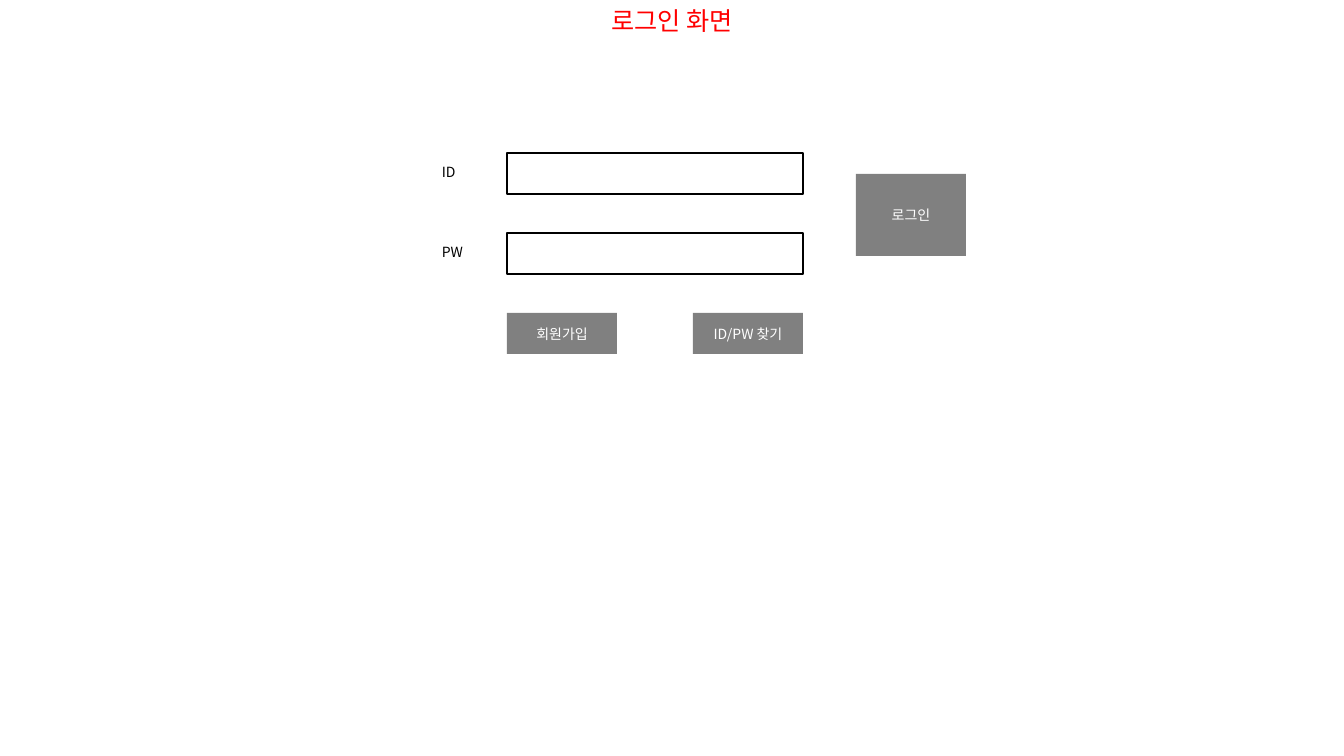
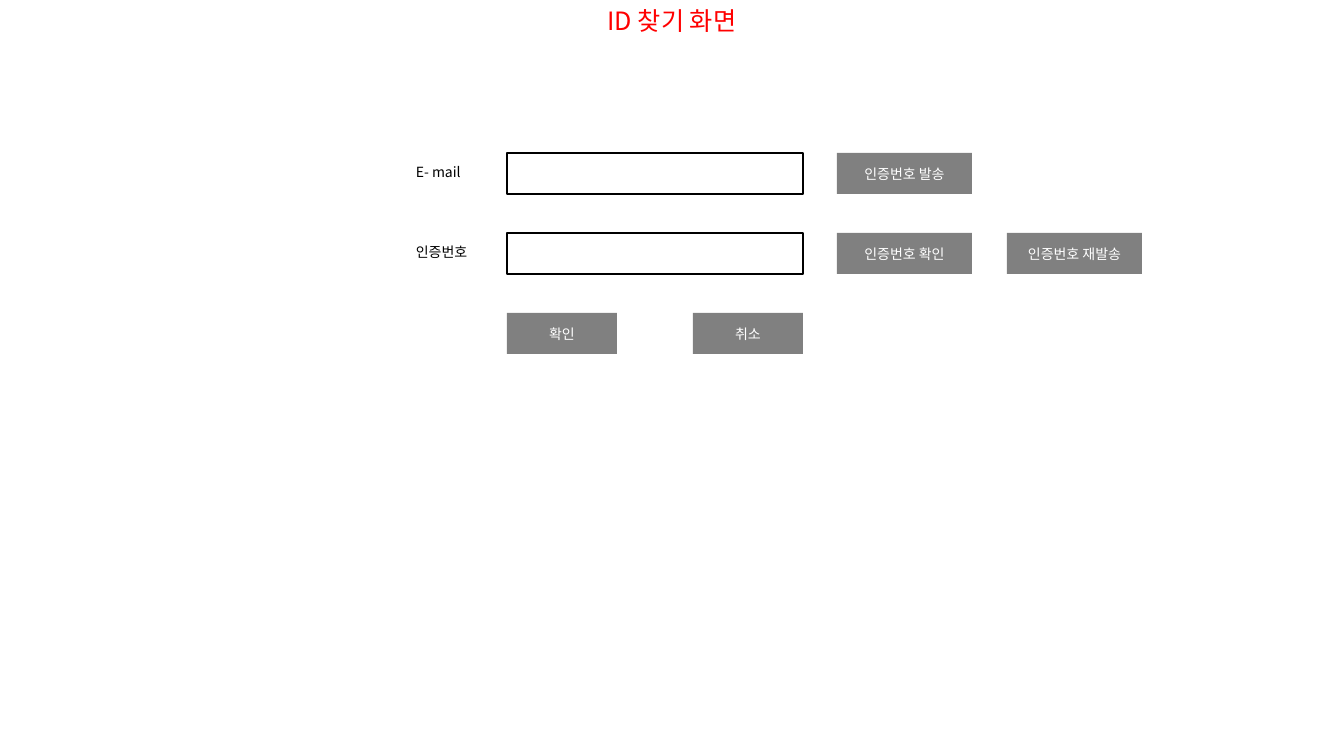
from pptx import Presentation
from pptx.dml.color import RGBColor
from pptx.enum.shapes import MSO_SHAPE
from pptx.enum.text import MSO_ANCHOR, MSO_AUTO_SIZE, PP_ALIGN
from pptx.oxml.ns import qn
from pptx.util import Pt
from lxml import etree

# Shared look
RED = RGBColor(0xFF, 0x00, 0x00)
GRAY = RGBColor(0x80, 0x80, 0x80)
BLACK = RGBColor(0x00, 0x00, 0x00)
WHITE = RGBColor(0xFF, 0xFF, 0xFF)
FONT = "Noto Sans CJK KR"
PX = 914400 / 100.8

# Form grid, in pixels
WIDE, TALL = 1344, 756
ROWS = [153 + 80 * i for i in range(3)]
HIGH = 41
LEFT, SPAN = 507, 296
SMALL, LARGE = 110, 135
RIGHT = LEFT + SPAN - SMALL
SIDE, FAR = 837, 1007


def place(*box):
    return [round(v * PX) for v in box]


def write(shape, text, size, color, align, anchor):
    frame = shape.text_frame
    frame.text = text
    frame.word_wrap = True
    frame.auto_size = MSO_AUTO_SIZE.NONE
    frame.vertical_anchor = anchor
    line = frame.paragraphs[0]
    line.alignment = align
    font = line.runs[0].font
    font.name, font.size, font.color.rgb = FONT, Pt(size), color
    # Korean glyphs take the East Asian typeface
    east = etree.Element(qn("a:ea"), typeface=FONT)
    line.runs[0].font._element.find(qn("a:latin")).addnext(east)


# Each screen: title, label left and width, labels, buttons
screens = [
    ("로그인 화면", 432, 57, ["ID", "PW"], [
        ("로그인", 856, 174, SMALL, 2 * HIGH),
        ("회원가입", LEFT, ROWS[2], SMALL, HIGH),
        ("ID/PW 찾기", RIGHT, ROWS[2], SMALL, HIGH),
    ]),
    ("ID 찾기 화면", 406, 85, ["E- mail", "인증번호"], [
        ("인증번호 발송", SIDE, ROWS[0], LARGE, HIGH),
        ("인증번호 확인", SIDE, ROWS[1], LARGE, HIGH),
        ("인증번호 재발송", FAR, ROWS[1], LARGE, HIGH),
        ("확인", LEFT, ROWS[2], SMALL, HIGH),
        ("취소", RIGHT, ROWS[2], SMALL, HIGH),
    ]),
]

deck = Presentation()
deck.slide_width, deck.slide_height = place(WIDE, TALL)

for name, start, width, labels, buttons in screens:
    slide = deck.slides.add_slide(deck.slide_layouts[5])
    shapes = slide.shapes

    # Title
    title = shapes.title
    title.left, title.top, title.width, title.height = place(0, 0, WIDE, 40)
    write(title, name, 18, RED, PP_ALIGN.CENTER, MSO_ANCHOR.TOP)

    # Labels and input fields
    for label, top in zip(labels, ROWS):
        note = shapes.add_textbox(*place(start, top + 6, width, 27))
        write(note, label, 10, BLACK, PP_ALIGN.LEFT, MSO_ANCHOR.TOP)
        field = shapes.add_shape(MSO_SHAPE.RECTANGLE, *place(LEFT, top, SPAN, HIGH))
        field.shadow.inherit = False
        field.fill.background()
        field.line.color.rgb = BLACK
        field.line.width = Pt(1)

    # Buttons
    for text, *box in buttons:
        button = shapes.add_shape(MSO_SHAPE.RECTANGLE, *place(*box))
        button.shadow.inherit = False
        button.fill.solid()
        button.fill.fore_color.rgb = GRAY
        button.line.fill.background()
        write(button, text, 10, WHITE, PP_ALIGN.CENTER, MSO_ANCHOR.MIDDLE)

deck.save("out.pptx")
